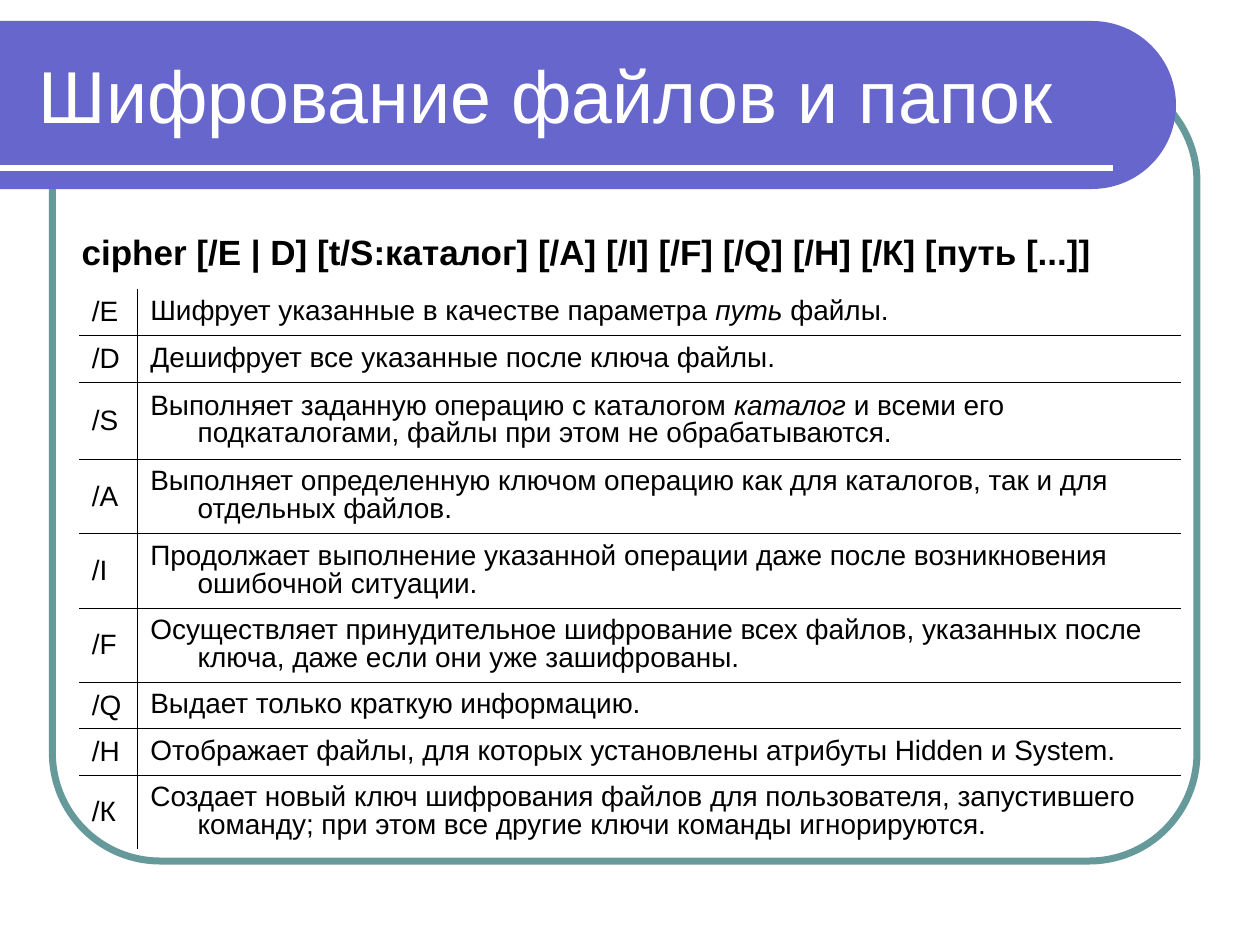
from dataclasses import dataclass
from math import cos, pi, sin

from lxml import etree
from pptx import Presentation
from pptx.dml import color
from pptx.enum import shapes, text
from pptx.oxml import ns
from pptx.util import Pt


@dataclass(frozen=True)
class Theme:
    """Colours, font and type sizes of the slide."""
    font: str = "Arial"
    ink: str = "000000"
    paper: str = "FFFFFF"
    band: str = "6666CC"
    frame: str = "669999"
    head: int = 42
    lead: int = 20
    cell: int = 16
    rule: float = 0.45
    hang: int = 27


def rgb(code):
    """Turn a hex code into a colour."""
    return color.RGBColor.from_string(code)


def write(frame, words, size, ink, font, bold=False, hang=0, pitch=None):
    """Fill a text frame with one paragraph; asterisks enclose italics."""
    para = frame.paragraphs[0]
    para.alignment = text.PP_ALIGN.LEFT
    if hang:
        props = para._p.get_or_add_pPr()
        props.set("marL", str(Pt(hang)))
        props.set("indent", str(-Pt(hang)))
    if pitch:
        para.line_spacing = pitch
    for i, piece in enumerate(words.split("*")):
        run = para.add_run()
        run.text = piece
        run.font.name, run.font.size = font, Pt(size)
        run.font.bold, run.font.italic = bold, i % 2 == 1
        run.font.color.rgb = rgb(ink)


class Deck:
    """Hold the theme and the current slide."""

    def __init__(self, theme):
        """Start a deck with one title-only slide."""
        self.theme = theme
        self.prs = Presentation()
        self.prs.slide_width, self.prs.slide_height = Pt(720), Pt(540)
        self.slide = self.prs.slides.add_slide(self.prs.slide_layouts[5])

    def frame(self, box, curve, width):
        """Draw an unfilled rounded frame."""
        item = self.slide.shapes.add_shape(
            shapes.MSO_SHAPE.ROUNDED_RECTANGLE, *map(Pt, box))
        item.shadow.inherit = False
        item.adjustments[0] = curve
        item.fill.background()
        item.line.color.rgb = rgb(self.theme.frame)
        item.line.width = Pt(width)

    def band(self, top, right, height, steps=48):
        """Draw a band from the left edge with a half-round right end."""
        r = height / 2
        turns = [pi * i / steps - pi / 2 for i in range(steps + 1)]
        arc = [(right - r + r * cos(a), top + r + r * sin(a)) for a in turns]
        pen = self.slide.shapes.build_freeform(0, Pt(top))
        pen.add_line_segments(
            [(Pt(x), Pt(y)) for x, y in arc + [(0, top + height)]], close=True)
        item = pen.convert_to_shape()
        item.shadow.inherit = False
        item.fill.solid()
        item.fill.fore_color.rgb = rgb(self.theme.band)
        item.line.fill.background()

    def line(self, start, end, width):
        """Draw a straight line in the paper colour."""
        item = self.slide.shapes.add_connector(
            shapes.MSO_CONNECTOR.STRAIGHT, *map(Pt, start + end))
        item.line.color.rgb = rgb(self.theme.paper)
        item.line.width = Pt(width)
        etree.SubElement(item._element.spPr, ns.qn("a:effectLst"))

    def title(self, words, box):
        """Place the title in front of the band."""
        item = self.slide.shapes.title
        item.left, item.top, item.width, item.height = map(Pt, box)
        self.slide.shapes._spTree.append(item._element)
        body = item.text_frame
        body.auto_size = text.MSO_AUTO_SIZE.NONE
        body.vertical_anchor = text.MSO_ANCHOR.MIDDLE
        write(body, words, self.theme.head, self.theme.paper, self.theme.font)

    def lead(self, words, box):
        """Place the bold syntax line."""
        body = self.slide.shapes.add_textbox(*map(Pt, box)).text_frame
        body.word_wrap = True
        write(body, words, self.theme.lead, self.theme.ink, self.theme.font,
              bold=True, hang=self.theme.hang)

    def edge(self, cell, sides):
        """Rule the named sides of a cell and clear the others."""
        props = cell._tc.get_or_add_tcPr()
        for side in "LRTB":
            line = etree.SubElement(props, ns.qn("a:ln" + side))
            if side in sides:
                line.set("w", str(Pt(self.theme.rule)))
                fill = etree.SubElement(line, ns.qn("a:solidFill"))
                etree.SubElement(fill, ns.qn("a:srgbClr"), val=self.theme.ink)
            else:
                line.set("w", "0")
                etree.SubElement(line, ns.qn("a:noFill"))

    def table(self, rows, spot, widths, heights):
        """Draw a table with inner rules only."""
        grid = self.slide.shapes.add_table(
            len(rows), len(widths), *map(Pt, spot),
            Pt(sum(widths)), Pt(sum(heights))).table
        grid.first_row = grid.horz_banding = False
        for col, width in zip(grid.columns, widths):
            col.width = Pt(width)
        for r, (row, height) in enumerate(zip(rows, heights)):
            grid.rows[r].height = Pt(height)
            for c, words in enumerate(row):
                cell = grid.cell(r, c)
                sides = "R" if c == 0 else "L"
                sides += "T" if r else ""
                sides += "B" if r < len(rows) - 1 else ""
                self.edge(cell, sides)
                cell.fill.background()
                cell.vertical_anchor = text.MSO_ANCHOR.MIDDLE
                write(cell.text_frame, words, self.theme.cell, self.theme.ink,
                      self.theme.font, hang=self.theme.hang,
                      pitch=0.9 if c else None)


KEYS = [
    ("/Е", "Шифрует указанные в качестве параметра *путь *файлы."),
    ("/D", "Дешифрует все указанные после ключа файлы."),
    ("/S", "Выполняет заданную операцию с каталогом *каталог *и всеми его "
           "подкаталогами, файлы при этом не обрабатываются."),
    ("/А", "Выполняет определенную ключом операцию как для каталогов, "
           "так и для отдельных файлов."),
    ("/I", "Продолжает выполнение указанной операции даже после "
           "возникновения ошибочной ситуации."),
    ("/F", "Осуществляет принудительное шифрование всех файлов, указанных "
           "после ключа, даже если они уже зашифрованы."),
    ("/Q", "Выдает только краткую информацию."),
    ("/Н", "Отображает файлы, для которых установлены атрибуты "
           "Hidden и System."),
    ("/К", "Создает новый ключ шифрования файлов для пользователя, "
           "запустившего команду; при этом все другие ключи команды "
           "игнорируются."),
]


def main():
    """Build the slide and save it."""
    deck = Deck(Theme())
    deck.frame((30, 42, 654, 450), 0.137, 4)
    deck.band(12, 672, 96)
    deck.line((0, 96), (636, 96), 3)
    deck.title("Шифрование файлов и папок", (15, 18, 631.5, 72))
    deck.lead("cipher [/Е | D] [t/S:каталог] [/A] [/I] [/F] [/Q] [/Н] [/К] "
              "[путь [...]]", (39.6, 128, 623.5, 36))
    one, two = 26.64, 42.48
    deck.table(KEYS, (45.36, 165), (33.4, 596),
               (one, one, 44.2, two, two, two, one, one, 42))
    deck.prs.save("out.pptx")


if __name__ == "__main__":
    main()
